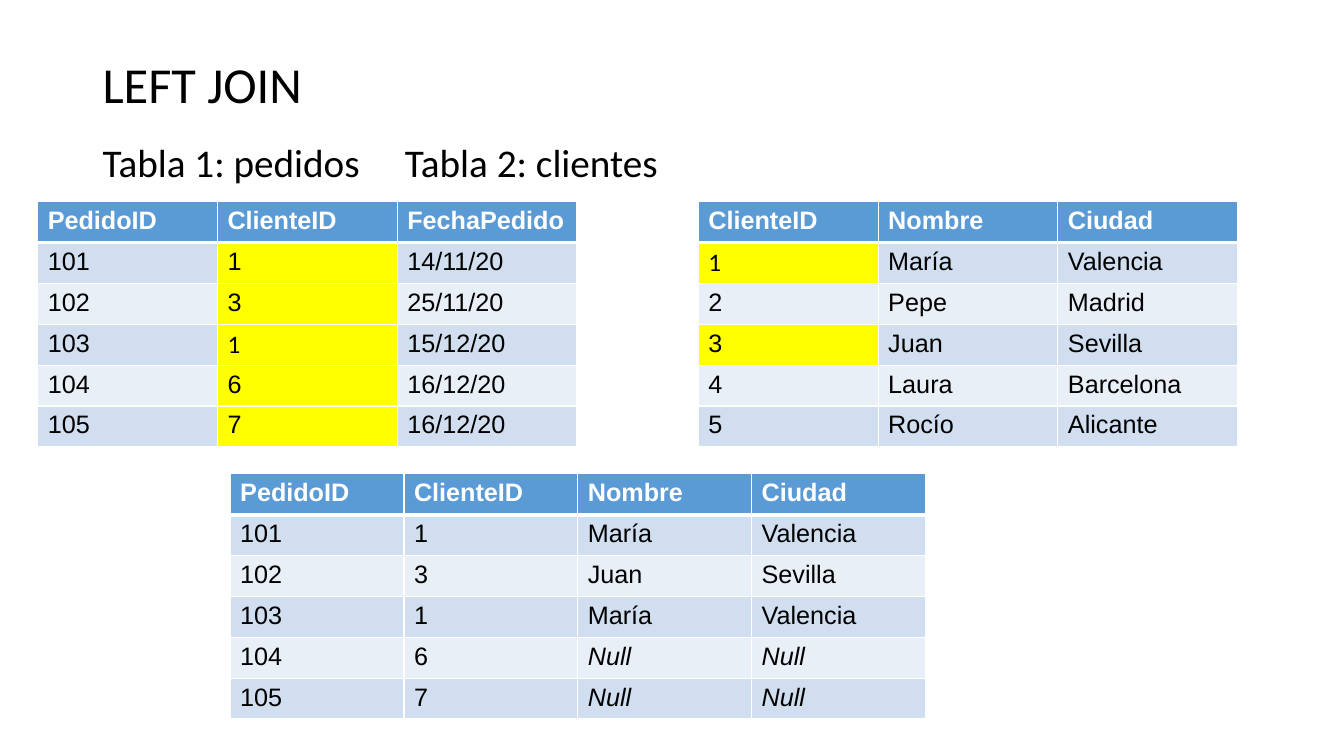
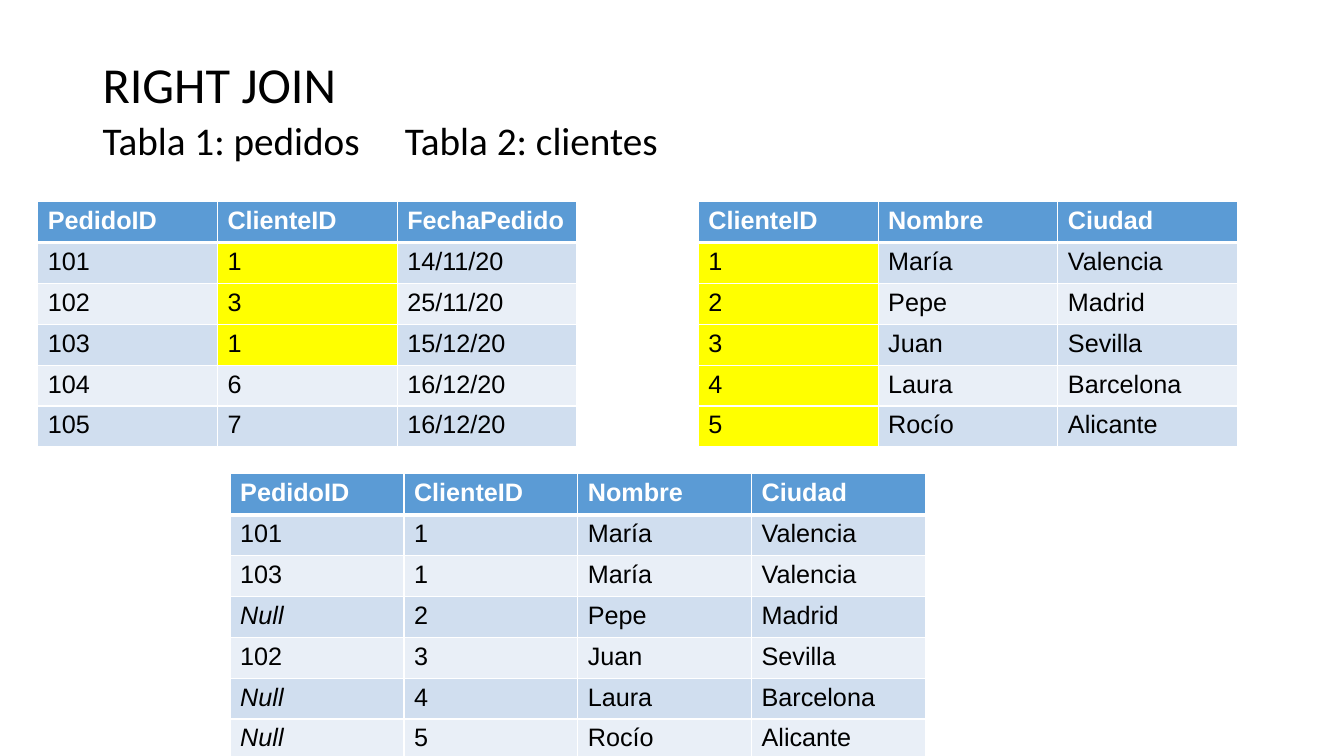
from dataclasses import dataclass

from lxml import etree
from pptx import Presentation
from pptx.dml.color import RGBColor
from pptx.enum.text import MSO_ANCHOR, MSO_AUTO_SIZE, PP_ALIGN
from pptx.oxml.ns import qn
from pptx.util import Cm, Pt

LEFT = PP_ALIGN.LEFT
TOP = MSO_ANCHOR.TOP
MIDDLE = MSO_ANCHOR.MIDDLE
NO_AUTOFIT = MSO_AUTO_SIZE.NONE

HEADING_FONT = "Calibri"
TABLE_FONT = "Arial"
BLACK = "000000"
WHITE = "FFFFFF"
HEADER_BLUE = "5B9BD5"
BANDS = ("D0DEEF", "E9EFF7")
YELLOW = "FFFF00"

ROW_HEIGHT = 1.03
MARGIN = 2.33
TEXT_WIDTH = 29.21
SECOND_CAPTION_TAB = 15.24
THIN, THICK = 1, 3

Rows = tuple[tuple[str, ...], ...]
Cells = frozenset[tuple[int, int]]

ORDERS: Rows = (
    ("PedidoID", "ClienteID", "FechaPedido"),
    ("101", "1", "14/11/20"),
    ("102", "3", "25/11/20"),
    ("103", "1", "15/12/20"),
    ("104", "6", "16/12/20"),
    ("105", "7", "16/12/20"),
)
CUSTOMERS: Rows = (
    ("ClienteID", "Nombre", "Ciudad"),
    ("1", "María", "Valencia"),
    ("2", "Pepe", "Madrid"),
    ("3", "Juan", "Sevilla"),
    ("4", "Laura", "Barcelona"),
    ("5", "Rocío", "Alicante"),
)
RESULT_HEADER = ("PedidoID", "ClienteID", "Nombre", "Ciudad")
LEFT_RESULT: Rows = (
    RESULT_HEADER,
    ("101", "1", "María", "Valencia"),
    ("102", "3", "Juan", "Sevilla"),
    ("103", "1", "María", "Valencia"),
    ("104", "6", "Null", "Null"),
    ("105", "7", "Null", "Null"),
)
RIGHT_RESULT: Rows = (
    RESULT_HEADER,
    ("101", "1", "María", "Valencia"),
    ("103", "1", "María", "Valencia"),
    ("Null", "2", "Pepe", "Madrid"),
    ("102", "3", "Juan", "Sevilla"),
    ("Null", "4", "Laura", "Barcelona"),
    ("Null", "5", "Rocío", "Alicante"),
)


@dataclass(frozen=True)
class Place:
    left: float
    top: float
    column_width: float


@dataclass(frozen=True)
class JoinSlide:
    title: str
    caption_top: float
    result: Rows
    matched_orders: Cells
    matched_customers: Cells
    calibri_orders: Cells = frozenset()
    calibri_customers: Cells = frozenset()


ORDERS_PLACE = Place(0.95, 5.08, 4.53)
CUSTOMERS_PLACE = Place(17.6, 5.08, 4.53)
RESULT_PLACE = Place(5.8, 11.94, 4.38)


def column_cells(column: int, *rows: int) -> Cells:
    return frozenset((row, column) for row in rows)


SLIDES = (
    JoinSlide("LEFT JOIN", 3.48, LEFT_RESULT,
              column_cells(1, 1, 2, 3, 4, 5), column_cells(0, 1, 3),
              column_cells(1, 3), column_cells(0, 1)),
    JoinSlide("RIGHT JOIN", 2.94, RIGHT_RESULT,
              column_cells(1, 1, 2, 3), column_cells(0, 1, 2, 3, 4, 5)),
)


def color(value: str) -> RGBColor:
    return RGBColor.from_string(value)


def set_font(paragraph, name: str, size: float, shade: str,
             bold: bool = False, italic: bool = False) -> None:
    font = paragraph.font
    font.name = name
    font.size = Pt(size)
    font.color.rgb = color(shade)
    font.bold = bold
    font.italic = italic


def fill_placeholder(box, text: str, top: float, height: float,
                     size: float, anchor):
    box.left, box.top = Cm(MARGIN), Cm(top)
    box.width, box.height = Cm(TEXT_WIDTH), Cm(height)
    frame = box.text_frame
    frame.text = text
    frame.word_wrap = True
    frame.auto_size = NO_AUTOFIT
    frame.vertical_anchor = anchor
    paragraph = frame.paragraphs[0]
    paragraph.alignment = LEFT
    paragraph.line_spacing = 0.9
    paragraph.space_before = Pt(0)
    set_font(paragraph, HEADING_FONT, size, BLACK)
    return paragraph


def set_caption_tab(paragraph) -> None:
    properties = paragraph._p.get_or_add_pPr()
    properties.set("marL", "0")
    properties.set("indent", "0")
    defaults = properties.find(qn("a:defRPr"))
    bullet = etree.Element(qn("a:buNone"))
    tabs = etree.Element(qn("a:tabLst"))
    etree.SubElement(tabs, qn("a:tab"),
                     pos=str(Cm(SECOND_CAPTION_TAB)), algn="l")
    defaults.addprevious(bullet)
    defaults.addprevious(tabs)


def set_borders(cell, top: float, bottom: float) -> None:
    properties = cell._tc.get_or_add_tcPr()
    sides = {"a:lnL": THIN, "a:lnR": THIN, "a:lnT": top, "a:lnB": bottom}
    for tag, width in sides.items():
        line = etree.SubElement(properties, qn(tag), w=str(Pt(width)))
        fill = etree.SubElement(line, qn("a:solidFill"))
        etree.SubElement(fill, qn("a:srgbClr"), val=WHITE)


def add_grid(slide, place: Place, rows: Rows, matched: Cells = frozenset(),
             calibri: Cells = frozenset()) -> None:
    column_count = len(rows[0])
    table = slide.shapes.add_table(
        len(rows), column_count, Cm(place.left), Cm(place.top),
        Cm(place.column_width * column_count),
        Cm(ROW_HEIGHT * len(rows))).table
    table.horz_banding = False
    for column in table.columns:
        column.width = Cm(place.column_width)
    for row, values in enumerate(rows):
        table.rows[row].height = Cm(ROW_HEIGHT)
        header = row == 0
        band = HEADER_BLUE if header else BANDS[(row - 1) % 2]
        for column, value in enumerate(values):
            position = (row, column)
            cell = table.cell(row, column)
            set_borders(cell, THICK if row == 1 else THIN,
                        THICK if header else THIN)
            cell.fill.solid()
            cell.fill.fore_color.rgb = color(
                YELLOW if position in matched else band)
            cell.text = value
            set_font(cell.text_frame.paragraphs[0],
                     HEADING_FONT if position in calibri else TABLE_FONT,
                     18, WHITE if header else BLACK,
                     bold=header, italic=value == "Null")


def add_join_slide(deck, join: JoinSlide) -> None:
    slide = deck.slides.add_slide(deck.slide_layouts[1])
    fill_placeholder(slide.shapes.title, join.title, 1.02, 2.36, 36, MIDDLE)
    captions = fill_placeholder(
        slide.placeholders[1], "Tabla 1: pedidos\tTabla 2: clientes",
        join.caption_top, 12.09, 28, TOP)
    set_caption_tab(captions)
    add_grid(slide, CUSTOMERS_PLACE, CUSTOMERS,
             join.matched_customers, join.calibri_customers)
    add_grid(slide, ORDERS_PLACE, ORDERS,
             join.matched_orders, join.calibri_orders)
    add_grid(slide, RESULT_PLACE, join.result)


def main() -> None:
    deck = Presentation()
    deck.slide_width, deck.slide_height = Cm(33.87), Cm(19.05)
    for join in SLIDES:
        add_join_slide(deck, join)
    deck.save("out.pptx")


if __name__ == "__main__":
    main()
